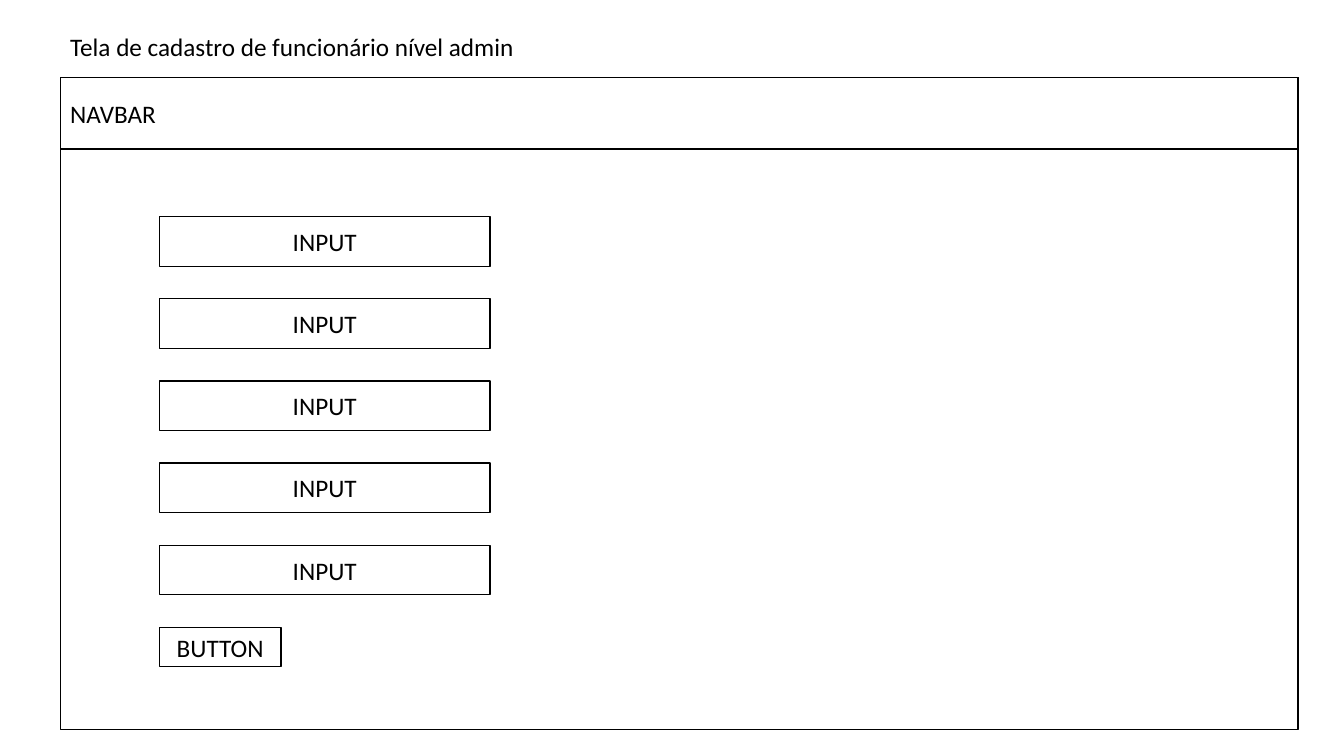
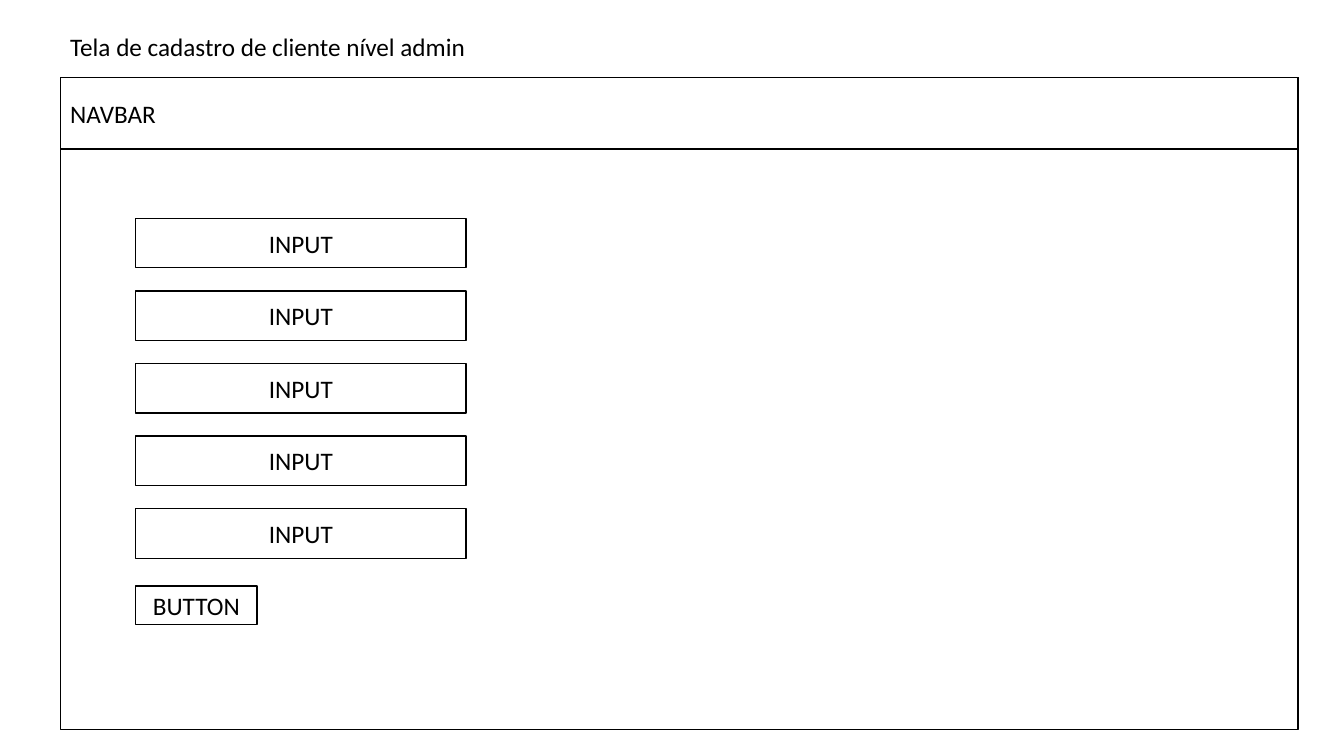
from dataclasses import dataclass

from pptx import Presentation
from pptx.dml.color import RGBColor
from pptx.enum.shapes import MSO_SHAPE as Preset
from pptx.enum.text import MSO_ANCHOR as Anchor, MSO_AUTO_SIZE as AutoSize, PP_ALIGN as Align
from pptx.util import Cm, Pt


@dataclass(frozen=True)
class Theme:
    ink: RGBColor = RGBColor(0, 0, 0)
    paper: RGBColor = RGBColor(255, 255, 255)
    font: str = "Calibri"
    size: int = 18
    line: float = 1


@dataclass(frozen=True)
class Box:
    """A region of the slide, in centimetres."""
    left: float
    top: float
    width: float
    height: float

    def inner(self, dx, dy, width, height):
        return Box(self.left + dx, self.top + dy, width, height)

    def emu(self):
        return [Cm(side) for side in (self.left, self.top, self.width, self.height)]


@dataclass(frozen=True)
class Screen:
    """A registration screen; form offsets are measured from the window."""
    caption: str
    caption_width: float
    form_left: float
    form_top: float
    pitch: float
    button_drop: float


THEME = Theme()
WINDOW = Box(1.52, 1.96, 31.19, 16.43)
NAVBAR_HEIGHT = 1.8
CAPTION_RISE, CAPTION_HEIGHT = 1.3, 1.02
INPUT_COUNT = 5
INPUT_SIZE = (8.33, 1.25)
BUTTON_SIZE = (3.06, 0.97)

SCREENS = [
    Screen("Tela de cadastro de funcionário nível admin", 11.84, 2.5, 3.5, 2.07, 10.36),
    Screen("Tela de cadastro de cliente nível admin", 10.59, 1.9, 3.54, 1.83, 9.27),
]


def write(frame, words, align):
    frame.text = words
    line = frame.paragraphs[0]
    line.alignment = align
    font = line.runs[0].font
    font.name, font.size = THEME.font, Pt(THEME.size)
    font.color.rgb = THEME.ink


def add_panel(slide, box, label="", align=Align.CENTER):
    """Outlined rectangle with an optional label."""
    panel = slide.shapes.add_shape(Preset.RECTANGLE, *box.emu())
    panel.shadow.inherit = False
    panel.fill.solid()
    panel.fill.fore_color.rgb = THEME.paper
    panel.line.color.rgb = THEME.ink
    panel.line.width = Pt(THEME.line)
    if label:
        panel.text_frame.vertical_anchor = Anchor.MIDDLE
        write(panel.text_frame, label, align)


def add_caption(slide, box, words):
    frame = slide.shapes.add_textbox(*box.emu()).text_frame
    frame.word_wrap = False
    frame.auto_size = AutoSize.SHAPE_TO_FIT_TEXT
    write(frame, words, Align.LEFT)


def add_window(slide, box):
    """Browser window with its navigation bar."""
    add_panel(slide, box)
    add_panel(slide, box.inner(0, 0, box.width, NAVBAR_HEIGHT), "NAVBAR", Align.LEFT)


def add_form(slide, box, screen):
    """Evenly spaced inputs with the button below."""
    left, top = screen.form_left, screen.form_top
    for row in range(INPUT_COUNT):
        add_panel(slide, box.inner(left, top + row * screen.pitch, *INPUT_SIZE), "INPUT")
    add_panel(slide, box.inner(left, top + screen.button_drop, *BUTTON_SIZE), "BUTTON")


def add_screen(deck, screen):
    slide = deck.slides.add_slide(deck.slide_layouts[6])
    add_window(slide, WINDOW)
    caption_box = WINDOW.inner(0, -CAPTION_RISE, screen.caption_width, CAPTION_HEIGHT)
    add_caption(slide, caption_box, screen.caption)
    add_form(slide, WINDOW, screen)


deck = Presentation()
deck.slide_width, deck.slide_height = Cm(33.87), Cm(19.05)
for screen in SCREENS:
    add_screen(deck, screen)
deck.save("out.pptx")
